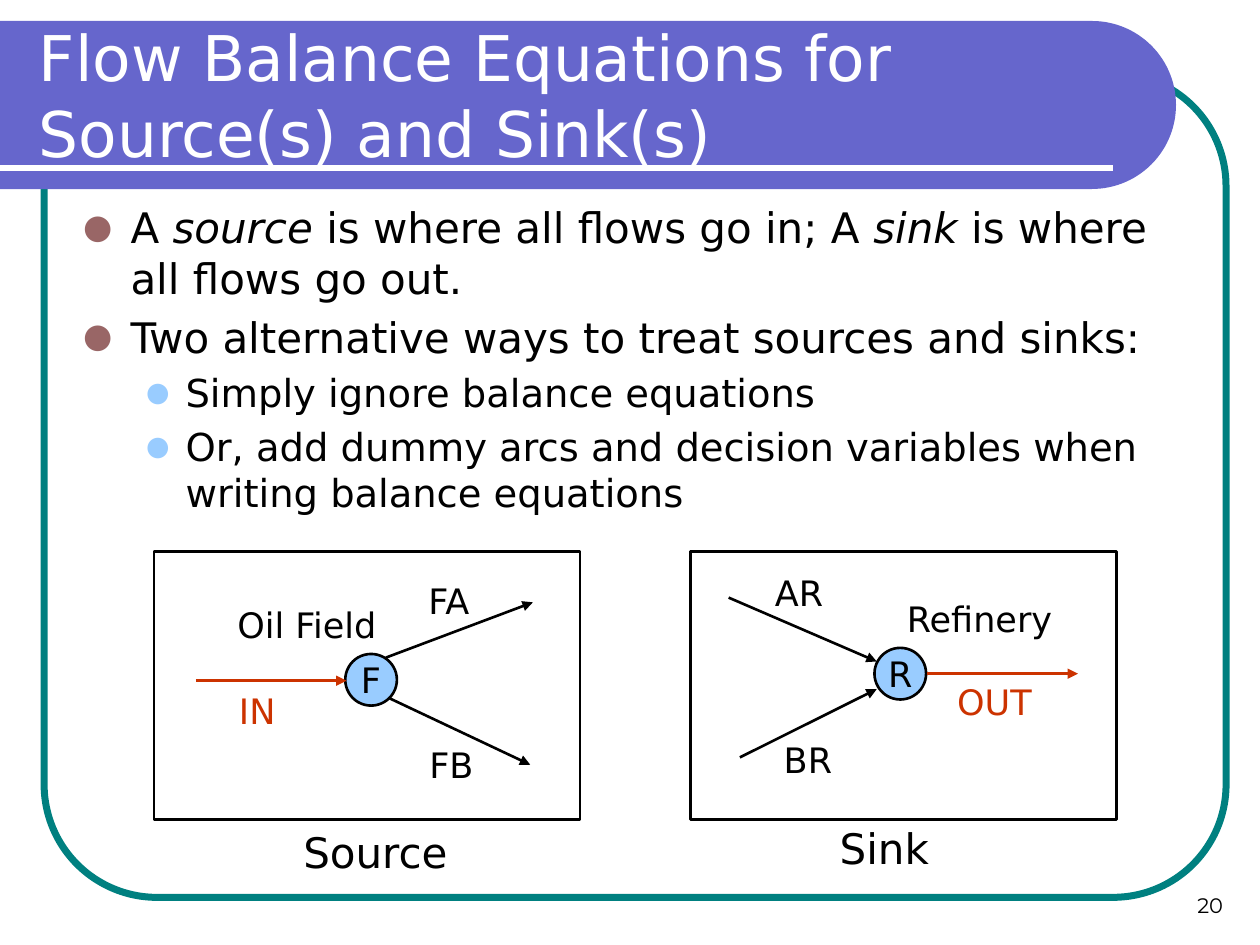
from math import cos, pi, sin
from typing import NamedTuple

from pptx import Presentation
from pptx.dml.color import RGBColor
from pptx.enum.shapes import MSO_CONNECTOR as Connector, MSO_SHAPE as Preset
from pptx.enum.text import MSO_ANCHOR as Anchor, MSO_AUTO_SIZE as AutoSize, PP_ALIGN as Align
from pptx.oxml.ns import qn
from pptx.util import Pt

BLACK = RGBColor(0x00, 0x00, 0x00)
WHITE = RGBColor(0xFF, 0xFF, 0xFF)
TEAL = RGBColor(0x00, 0x80, 0x80)
VIOLET = RGBColor(0x66, 0x66, 0xCC)
MAUVE = RGBColor(0x99, 0x66, 0x66)
SKY = RGBColor(0x99, 0xCC, 0xFF)
RED = RGBColor(0xCC, 0x33, 0x00)
FONT = "DejaVu Sans"
NODE_SIZE = 29.5
LABEL_HEIGHT = 31


class Label(NamedTuple):
    text: str
    left: float
    top: float
    width: float = 58
    size: float = 20
    color: RGBColor = BLACK


class Arrow(NamedTuple):
    start: tuple[float, float]
    end: tuple[float, float]
    color: RGBColor = BLACK


class Node(NamedTuple):
    text: str
    left: float
    top: float


class Diagram(NamedTuple):
    panel_left: float
    node: Node
    arrows: list[Arrow]
    labels: list[Label]


class Level(NamedTuple):
    margin: float
    hanging: float
    size: float
    bullet_color: RGBColor
    bullet_percent: int


class Bullet(NamedTuple):
    level: int
    runs: list[tuple[str, bool]]


LEVELS = [Level(27, 27, 24, MAUVE, 80), Level(58.5, 22.5, 22, SKY, 70)]

BULLETS = [
    Bullet(0, [("A ", False), ("source", True), (" is where all flows go in; A ", False),
               ("sink", True), (" is where all flows go out.", False)]),
    Bullet(0, [("Two alternative ways to treat sources and sinks:", False)]),
    Bullet(1, [("Simply ignore balance equations", False)]),
    Bullet(1, [("Or, add dummy arcs and decision variables when writing balance equations", False)]),
]

DIAGRAMS = [
    Diagram(
        88,
        Node("F", 197.3, 373.7),
        [Arrow((220.5, 375.8), (304.5, 344.2)), Arrow((222.5, 399), (303, 437)),
         Arrow((112, 389), (198, 389), RED)],
        [Label("Oil Field", 117.4, 341.3, 116), Label("FA", 227.5, 327.6), Label("FB", 229, 421.2),
         Label("IN", 118, 390.2, color=RED), Label("Source", 103, 468.7, 223, 24)],
    ),
    Diagram(
        394.5,
        Node("R", 499.7, 370.2),
        [Arrow((422.8, 432.8), (501, 393.8)), Arrow((416.4, 341.5), (501, 378)),
         Arrow((530, 385), (616, 385), RED)],
        [Label("Refinery", 502.5, 337.7, 114.5), Label("BR", 432.7, 418.3), Label("AR", 427.7, 323.3),
         Label("OUT", 539.3, 385.2, color=RED), Label("Sink", 393.8, 466.5, 223, 24)],
    ),
]


def style_font(font, size: float, color: RGBColor, name: str = FONT) -> None:
    font.name = name
    font.size = Pt(size)
    font.color.rgb = color


def add_outline(slide, preset, box: tuple[float, ...], color: RGBColor, width: float):
    shape = slide.shapes.add_shape(preset, *map(Pt, box))
    shape.shadow.inherit = False
    shape.fill.background()
    shape.line.color.rgb = color
    shape.line.width = Pt(width)
    return shape


def add_line(slide, start: tuple[float, float], end: tuple[float, float], color: RGBColor, width: float):
    connector = slide.shapes.add_connector(Connector.STRAIGHT, *map(Pt, start + end))
    connector.line.color.rgb = color
    connector.line.width = Pt(width)
    properties = connector.element.spPr
    properties.append(properties.makeelement(qn("a:effectLst"), {}))
    return connector


def add_arrow(slide, arrow: Arrow) -> None:
    connector = add_line(slide, arrow.start, arrow.end, arrow.color, 1.5)
    line = connector.line._get_or_add_ln()
    line.append(line.makeelement(qn("a:tailEnd"), {"type": "triangle"}))


def add_band(slide, top: float, radius: float, center_x: float) -> None:
    center_y = top + radius
    angles = [-pi / 2 + pi * step / 60 for step in range(61)]
    arc = [(Pt(center_x + radius * cos(angle)), Pt(center_y + radius * sin(angle))) for angle in angles]
    builder = slide.shapes.build_freeform(Pt(0), Pt(top))
    builder.add_line_segments(arc + [(Pt(0), Pt(top + 2 * radius))], close=True)
    band = builder.convert_to_shape()
    band.shadow.inherit = False
    band.fill.solid()
    band.fill.fore_color.rgb = VIOLET
    band.line.fill.background()


def add_label(slide, label: Label) -> None:
    height = LABEL_HEIGHT * label.size / 20
    box = slide.shapes.add_textbox(Pt(label.left), Pt(label.top), Pt(label.width), Pt(height))
    box.text_frame.word_wrap = True
    paragraph = box.text_frame.paragraphs[0]
    paragraph.text = label.text
    paragraph.alignment = Align.CENTER
    style_font(paragraph.font, label.size, label.color)


def add_node(slide, node: Node) -> None:
    shape = add_outline(slide, Preset.OVAL, (node.left, node.top, NODE_SIZE, NODE_SIZE), BLACK, 1.5)
    shape.fill.solid()
    shape.fill.fore_color.rgb = SKY
    frame = shape.text_frame
    frame.word_wrap = False
    frame.vertical_anchor = Anchor.MIDDLE
    paragraph = frame.paragraphs[0]
    paragraph.text = node.text
    paragraph.alignment = Align.CENTER
    style_font(paragraph.font, 20, BLACK)


def add_bullets(slide, bullets: list[Bullet]) -> None:
    frame = slide.shapes.add_textbox(Pt(40.5), Pt(111.8), Pt(636.5), Pt(220)).text_frame
    frame.word_wrap = True
    for index, bullet in enumerate(bullets):
        paragraph = frame.add_paragraph() if index else frame.paragraphs[0]
        level = LEVELS[bullet.level]
        paragraph.level = bullet.level
        paragraph.space_before = Pt(level.size * 0.2 if index else 0)
        properties = paragraph._p.get_or_add_pPr()
        properties.set("marL", str(Pt(level.margin)))
        properties.set("indent", str(-Pt(level.hanging)))
        color = properties.makeelement(qn("a:buClr"), {})
        color.append(color.makeelement(qn("a:srgbClr"), {"val": str(level.bullet_color)}))
        properties.append(color)
        for tag, attributes in (("a:buSzPct", {"val": str(level.bullet_percent * 1000)}),
                                ("a:buFont", {"typeface": FONT}), ("a:buChar", {"char": "●"})):
            properties.append(properties.makeelement(qn(tag), attributes))
        style_font(paragraph.font, level.size, BLACK)
        for text, italic in bullet.runs:
            run = paragraph.add_run()
            run.text = text
            if italic:
                run.font.italic = True


def place_title(slide, text: str) -> None:
    title = slide.shapes.title
    title.left, title.top, title.width, title.height = map(Pt, (15, 18, 631.5, 72))
    title.element.getparent().append(title.element)
    frame = title.text_frame
    frame.text = text
    frame.word_wrap = True
    frame.auto_size = AutoSize.NONE
    frame.vertical_anchor = Anchor.MIDDLE
    frame.paragraphs[0].alignment = Align.LEFT
    style_font(frame.paragraphs[0].font, 36, WHITE)


def add_page_number(slide, number: str) -> None:
    frame = slide.shapes.add_textbox(Pt(538), Pt(492), Pt(168), Pt(36)).text_frame
    frame.word_wrap = True
    frame.vertical_anchor = Anchor.BOTTOM
    paragraph = frame.paragraphs[0]
    paragraph.text = number
    paragraph.alignment = Align.RIGHT
    style_font(paragraph.font, 12, BLACK, "Montserrat")


def main() -> None:
    presentation = Presentation()
    presentation.slide_width, presentation.slide_height = Pt(720), Pt(540)
    slide = presentation.slides.add_slide(presentation.slide_layouts[5])
    frame = add_outline(slide, Preset.ROUNDED_RECTANGLE, (25.2, 41.8, 675.4, 471), TEAL, 4)
    frame.adjustments[0] = 0.137
    add_band(slide, 12, 48, 624)
    add_line(slide, (0, 96), (636, 96), WHITE, 3)
    place_title(slide, "Flow Balance Equations for Source(s) and Sink(s)")
    add_bullets(slide, BULLETS)
    for diagram in DIAGRAMS:
        add_outline(slide, Preset.RECTANGLE, (diagram.panel_left, 315.3, 243.4, 153), BLACK, 1.5)
        add_node(slide, diagram.node)
        for arrow in diagram.arrows:
            add_arrow(slide, arrow)
        for label in diagram.labels:
            add_label(slide, label)
    add_page_number(slide, "20")
    presentation.save("out.pptx")


if __name__ == "__main__":
    main()
